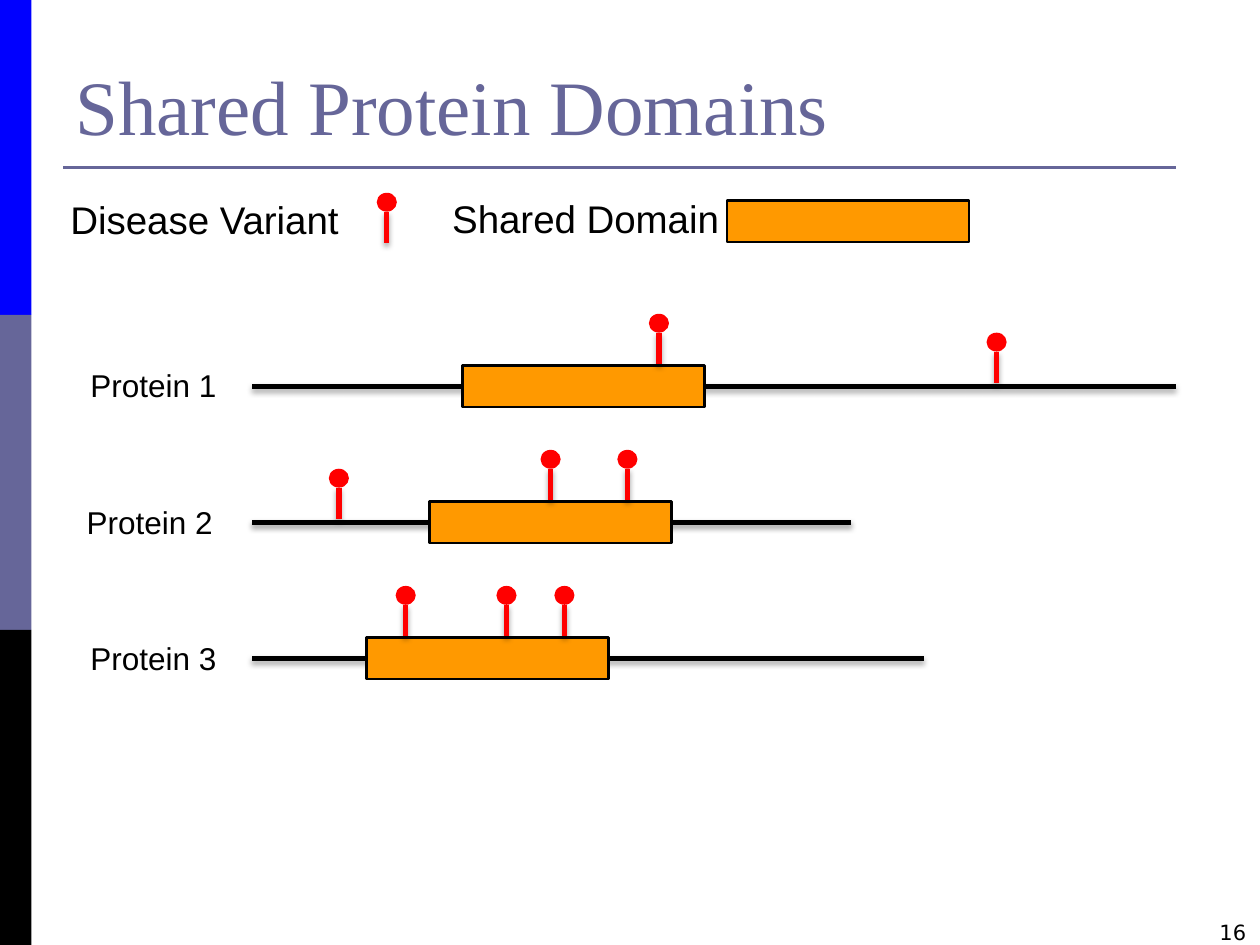
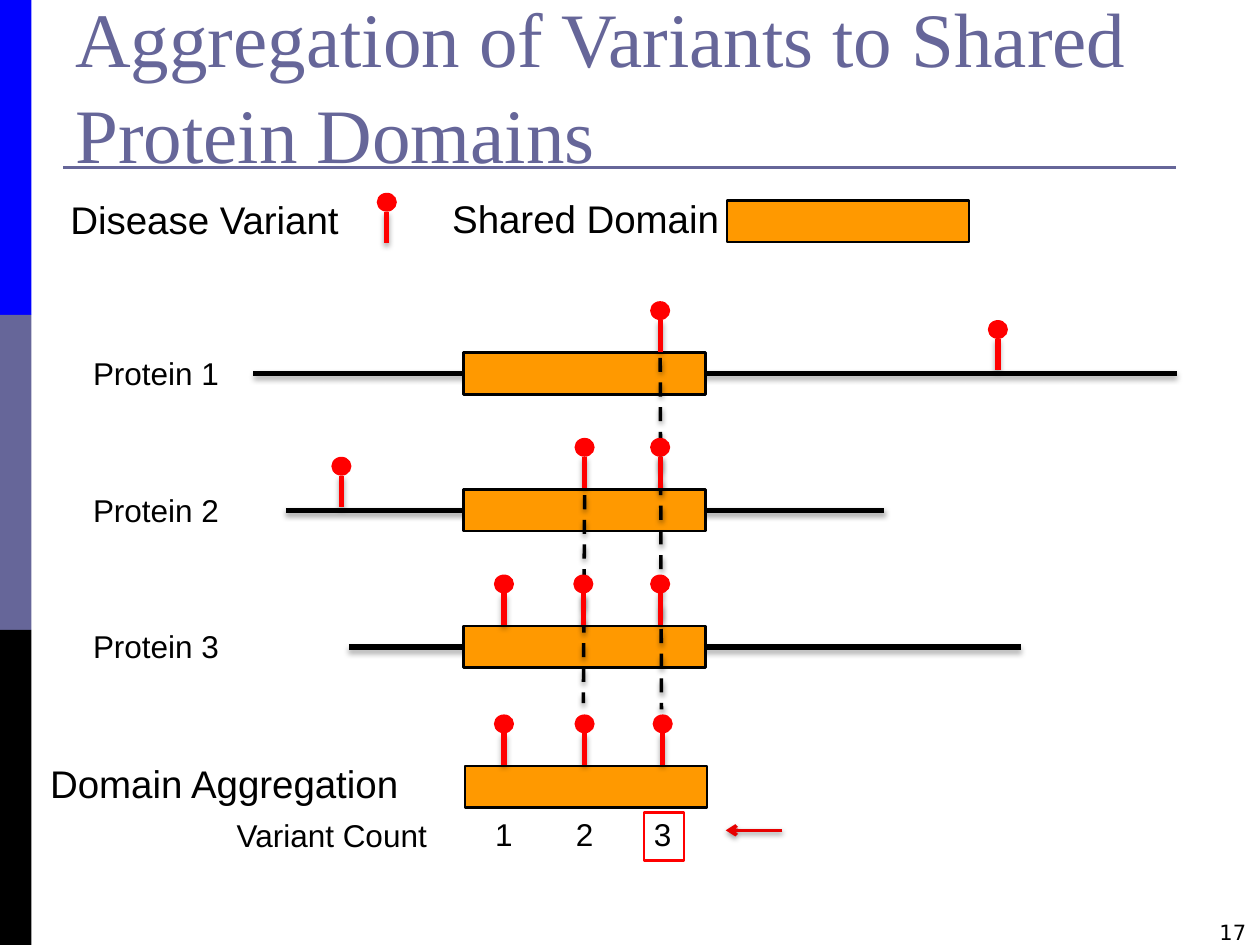
from typing import NamedTuple

from lxml.etree import SubElement
from pptx import Presentation
from pptx.dml.color import RGBColor
from pptx.enum.dml import MSO_LINE
from pptx.enum.shapes import MSO_CONNECTOR, MSO_SHAPE as SHAPE
from pptx.enum.text import MSO_ANCHOR as ANCHOR, PP_ALIGN as ALIGN
from pptx.oxml.ns import qn
from pptx.util import Inches, Pt

BLUE = RGBColor(0x00, 0x00, 0xFF)
SLATE = RGBColor(0x66, 0x66, 0x99)
BLACK = RGBColor(0x00, 0x00, 0x00)
ORANGE = RGBColor(0xFF, 0x99, 0x00)
RED = RGBColor(0xFF, 0x00, 0x00)
ARROW_RED = RGBColor(0xE7, 0x00, 0x00)

TITLE_FONT, BODY_FONT, NUMBER_FONT = "Times New Roman", "Arial", "DejaVu Sans"

# All lengths are counted in grid cells: 100 columns by 75 rows.
COLUMNS, ROWS = 100, 75
SLIDE_W, SLIDE_H = Inches(10), Inches(7.5)

DOMAIN_W, DOMAIN_H = 19.2, 3.3
HEAD_W, HEAD_H, PIN_H = 1.6, 1.5, 4


class Box(NamedTuple):
    left: float
    top: float
    width: float
    height: float


class Protein(NamedTuple):
    """Domain offset is measured from the start of the backbone."""
    name: str
    length: float
    domain_offset: float


class Track(NamedTuple):
    """A protein placed on a slide, with the columns of its variants."""
    protein: Protein
    label_left: float
    start: float
    top: float
    variants: tuple


PROTEINS = (Protein("Protein 1", 73.3, 16.7),
            Protein("Protein 2", 47.5, 14.1),
            Protein("Protein 3", 53.3, 9.1))


def col(n):
    return round(SLIDE_W * n / COLUMNS)


def row(n):
    return round(SLIDE_H * n / ROWS)


def add_text(slide, box, text, size, font=BODY_FONT, color=BLACK,
             align=ALIGN.LEFT, anchor=ANCHOR.TOP, spacing=None, wrap=True):
    frame = slide.shapes.add_textbox(col(box.left), row(box.top),
                                     col(box.width), row(box.height)).text_frame
    frame.word_wrap = wrap
    frame.vertical_anchor = anchor
    paragraph = frame.paragraphs[0]
    paragraph.text = text
    paragraph.alignment = align
    paragraph.line_spacing = spacing
    paragraph.font.name = font
    paragraph.font.size = Pt(size)
    paragraph.font.color.rgb = color


def add_block(slide, box, fill=None, outline=None, kind=SHAPE.RECTANGLE):
    block = slide.shapes.add_shape(kind, col(box.left), row(box.top),
                                   col(box.width), row(box.height))
    block.shadow.inherit = False
    if fill is None:
        block.fill.background()
    else:
        block.fill.solid()
        block.fill.fore_color.rgb = fill
    if outline is None:
        block.line.fill.background()
    else:
        block.line.color.rgb = outline
        block.line.width = Pt(1.5)


def add_line(slide, start, end, color, width, shadow_alpha=None):
    """Draw a line between two (column, row) points, with an optional shadow."""
    line = slide.shapes.add_connector(MSO_CONNECTOR.STRAIGHT, col(start[0]), row(start[1]),
                                      col(end[0]), row(end[1]))
    line.line.color.rgb = color
    line.line.width = Pt(width)
    effects = SubElement(line._element.spPr, qn("a:effectLst"))
    if shadow_alpha:
        shadow = SubElement(effects, qn("a:outerShdw"), blurRad=str(Pt(3.1)),
                            dist=str(Pt(1.8)), dir="5400000", rotWithShape="0")
        tint = SubElement(shadow, qn("a:srgbClr"), val=str(BLACK))
        SubElement(tint, qn("a:alpha"), val=str(shadow_alpha * 1000))
    return line


def add_domain(slide, left, top):
    add_block(slide, Box(left, top, DOMAIN_W, DOMAIN_H), ORANGE, BLACK)


def add_variant(slide, x, tip):
    """Draw a pin whose stem ends at row tip."""
    top = tip - PIN_H
    add_line(slide, (x, top + HEAD_H), (x, tip), RED, 3, 35)
    add_block(slide, Box(x - HEAD_W / 2, top, HEAD_W, HEAD_H), RED, kind=SHAPE.OVAL)


def add_frame(prs, title, number, title_top=0):
    """Start a slide with side bands, title, rule and page number."""
    slide = prs.slides.add_slide(prs.slide_layouts[6])
    band_height = ROWS / 3
    for i, color in enumerate((BLUE, SLATE, BLACK)):
        add_block(slide, Box(0, i * band_height, 2.5, band_height), color)
    add_line(slide, (5, 13.3), (93.3, 13.3), SLATE, 1.5)
    add_text(slide, Box(5, title_top, 90, 12.5), title, 44, TITLE_FONT, SLATE,
             anchor=ANCHOR.BOTTOM, spacing=1.04)
    add_text(slide, Box(95.8, 72.5, 4.2, 2.5), str(number), 12, NUMBER_FONT, wrap=False)
    return slide


def add_legend(slide, left, top):
    add_text(slide, Box(left, top + 0.1, 28.5, 4.7), "Disease Variant", 22)
    add_variant(slide, left + 26.1, top + 4.3)
    add_text(slide, Box(left + 30.3, top, 28.5, 4.7), "Shared Domain", 22)
    add_domain(slide, left + 53.1, top + 0.9)


def add_protein(slide, track):
    protein, label_left, start, top, _ = track
    axis = top + DOMAIN_H / 2
    add_line(slide, (start, axis), (start + protein.length, axis), BLACK, 3, 35)
    add_domain(slide, start + protein.domain_offset, top)
    add_text(slide, Box(label_left, top - 0.4, 15, 4), protein.name, 18)


def add_track_variants(slide, track):
    """Stand pins on the domain where they fall in it, else on the backbone."""
    domain_left = track.start + track.protein.domain_offset
    for x in track.variants:
        inside = domain_left <= x <= domain_left + DOMAIN_W
        tip = track.top - 0.1 if inside else track.top + DOMAIN_H / 2 - 0.25
        add_variant(slide, x, tip)


def add_aggregation(slide, left, top, counts):
    """Draw the summed domain; counts maps pin column to variant count."""
    add_text(slide, Box(left, top - 1, 36.7, 4.7), "Domain Aggregation", 22)
    add_domain(slide, left + 33.9, top)
    add_text(slide, Box(left + 14.8, top + 3.5, 23.4, 4), "Variant Count", 18)
    for x, count in counts.items():
        add_variant(slide, x, top - 0.1)
        add_text(slide, Box(x - 3, top + 3.4, 6, 4), str(count), 18, align=ALIGN.CENTER)
    highest = max(counts, key=counts.get)
    add_block(slide, Box(highest - 1.5, top + 3.7, 3.2, 3.8), outline=RED)
    arrow_row = top + 5.1
    arrow = add_line(slide, (highest + 9.5, arrow_row), (highest + 5, arrow_row),
                     ARROW_RED, 2, 38)
    SubElement(arrow.line._get_or_add_ln(), qn("a:tailEnd"), type="arrow")


def build_shared_domains(prs):
    slide = add_frame(prs, "Shared Protein Domains", 16)
    add_legend(slide, 4.6, 15)
    variants = ((52.3, 79.1), (26.9, 43.7, 49.8), (32.2, 40.2, 44.8))
    label_lefts = (6.2, 5.9, 6.2)
    for i, protein in enumerate(PROTEINS):
        track = Track(protein, label_lefts[i], 20, 29 + 10.8 * i, variants[i])
        add_protein(slide, track)
        add_track_variants(slide, track)


def build_aggregation(prs):
    slide = add_frame(prs, "Aggregation of Variants to Shared Protein Domains", 17, 2.2)
    add_legend(slide, 4.6, 15)
    domain_left = 36.8
    variants = ((52.4, 79.2), (27.1, 46.4, 52.4), (40, 46.3, 52.4))
    tracks = [Track(protein, 6.4, domain_left - protein.domain_offset,
                    28 + 10.85 * i, variants[i])
              for i, protein in enumerate(PROTEINS)]
    for track in tracks:
        add_protein(slide, track)
    for start, end in (((52.4, 28.4), (52.5, 56.3)), ((46.4, 39.3), (46.3, 55.8))):
        guide = add_line(slide, start, end, BLACK, 2, 38)
        guide.line.dash_style = MSO_LINE.DASH
    for track in tracks:
        add_track_variants(slide, track)
    add_aggregation(slide, 3, 60.8, {40: 1, 46.4: 2, 52.6: 3})


def main():
    prs = Presentation()
    prs.slide_width, prs.slide_height = SLIDE_W, SLIDE_H
    build_shared_domains(prs)
    build_aggregation(prs)
    prs.save("out.pptx")


if __name__ == "__main__":
    main()
